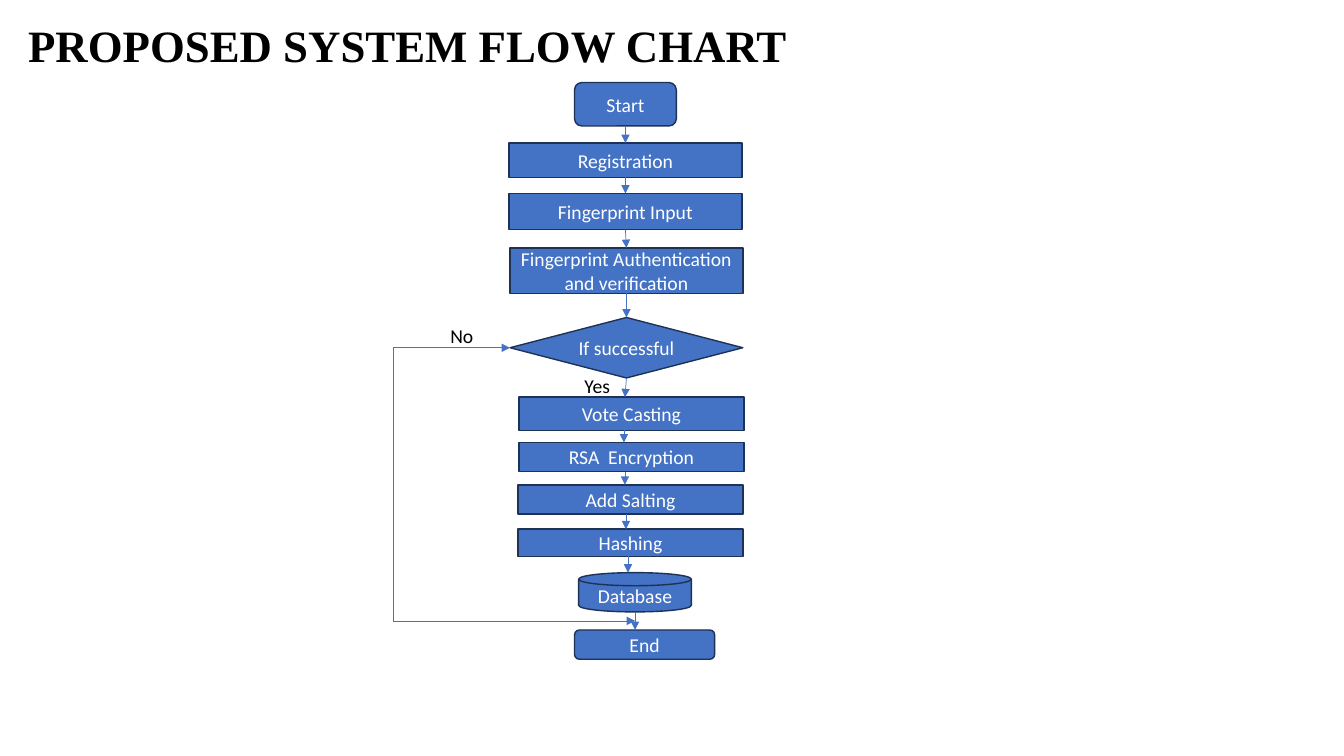
from dataclasses import dataclass

from lxml import etree
from pptx import Presentation
from pptx.dml.color import RGBColor
from pptx.enum.shapes import MSO_CONNECTOR, MSO_SHAPE
from pptx.enum.text import MSO_ANCHOR, MSO_AUTO_SIZE, PP_ALIGN
from pptx.oxml.ns import qn
from pptx.util import Pt

RECT = MSO_SHAPE.RECTANGLE
ROUND = MSO_SHAPE.ROUNDED_RECTANGLE
DECISION = MSO_SHAPE.FLOWCHART_DECISION
DISK = MSO_SHAPE.FLOWCHART_MAGNETIC_DISK
TERMINAL = MSO_SHAPE.FLOWCHART_ALTERNATE_PROCESS
STRAIGHT = MSO_CONNECTOR.STRAIGHT
MIDDLE, TOP = MSO_ANCHOR.MIDDLE, MSO_ANCHOR.TOP
CENTER, LEFT = PP_ALIGN.CENTER, PP_ALIGN.LEFT
FIT_SHAPE, NO_FIT = MSO_AUTO_SIZE.SHAPE_TO_FIT_TEXT, MSO_AUTO_SIZE.NONE
SIDE_TOP, SIDE_LEFT, SIDE_BOTTOM = 0, 1, 2


@dataclass(frozen=True)
class Theme:
    fill: RGBColor = RGBColor(0x44, 0x72, 0xC4)
    outline: RGBColor = RGBColor(0x1E, 0x32, 0x56)
    light: RGBColor = RGBColor(0xFF, 0xFF, 0xFF)
    dark: RGBColor = RGBColor(0, 0, 0)
    title_font: str = "Times New Roman"
    body_font: str = "Calibri"
    title_size: int = 32
    body_size: int = 14
    outline_width: float = 1
    arrow_width: float = 0.5
    space_after: int = 6


THEME = Theme()
TITLE_FORMAT = {"name": THEME.title_font, "size": Pt(THEME.title_size), "bold": True}
BODY_FORMAT = {"name": THEME.body_font, "size": Pt(THEME.body_size)}

# Steps from top to bottom: text, shape, left, top, width, height
STEPS = [
    ("Start", ROUND, 410.4, 59, 72.7, 31),
    ("Registration", RECT, 363.6, 102.2, 166.3, 24.5),
    ("Fingerprint Input", RECT, 363.6, 138.2, 166.3, 25.9),
    ("Fingerprint Authentication and verification", RECT, 364.3, 177.1, 166.3, 32.4),
    ("If successful", DECISION, 364.3, 226.8, 166.3, 43.2),
    ("Vote Casting", RECT, 370.8, 283.7, 160.6, 23.8),
    ("RSA  Encryption", RECT, 370.8, 316.1, 160.6, 20.9),
    ("Add Salting", RECT, 370.1, 346.3, 160.6, 20.9),
    ("Hashing", RECT, 370.1, 378, 160.6, 19.4),
    ("Database", DISK, 413.3, 409, 80.6, 28.1),
    ("End", TERMINAL, 410.4, 450, 100.1, 20.9),
]
# Arrows that run off the centre of the step they leave: step -> x
OFF_CENTER = {"Vote Casting": 445.7, "RSA  Encryption": 446.4, "Add Salting": 447.1,
              "Hashing": 448.6, "Database": 453.6}
YES_ARROW_X = 446.4
NO_LINE_X, NO_LINE_TOP, NO_LINE_BOTTOM = 280.8, 248.4, 443.5


def write(tf, text, fmt, color, align, anchor):
    tf.word_wrap = True
    tf.vertical_anchor = anchor
    p = tf.paragraphs[0]
    p.alignment = align
    p.space_after = Pt(THEME.space_after)
    r = p.add_run()
    r.text = text
    for name, value in fmt.items():
        setattr(r.font, name, value)
    r.font.color.rgb = color


def add_text(s, text, box, fmt, fit=NO_FIT):
    sp = s.shapes.add_textbox(*map(Pt, box))
    write(sp.text_frame, text, fmt, THEME.dark, LEFT, TOP)
    sp.text_frame.auto_size = fit


def add_step(s, text, kind, *box):
    sp = s.shapes.add_shape(kind, *map(Pt, box))
    sp.shadow.inherit = False
    sp.fill.solid()
    sp.fill.fore_color.rgb = THEME.fill
    sp.line.color.rgb = THEME.outline
    sp.line.width = Pt(THEME.outline_width)
    write(sp.text_frame, text, BODY_FORMAT, THEME.light, CENTER, MIDDLE)
    return sp


def add_line(s, x1, y1, x2, y2, arrow=True):
    line = s.shapes.add_connector(STRAIGHT, *map(Pt, (x1, y1, x2, y2)))
    line.line.color.rgb = THEME.fill
    line.line.width = Pt(THEME.arrow_width)
    if arrow:
        etree.SubElement(line.line._get_or_add_ln(), qn("a:tailEnd"), type="triangle")
    etree.SubElement(line._element.spPr, qn("a:effectLst"))
    return line


def link_steps(s, upper, lower):
    """Draw the arrow down from one step to the next."""
    (upper_step, upper_sp), (lower_step, lower_sp) = upper, lower
    text, kind, left, top, width, height = upper_step
    x = OFF_CENTER.get(text, left + width / 2)
    end_x = YES_ARROW_X if kind == DECISION else x
    line = add_line(s, x, top + height, end_x, lower_step[3])
    if text not in OFF_CENTER:
        line.begin_connect(upper_sp, SIDE_BOTTOM)
        if kind != DECISION:
            line.end_connect(lower_sp, SIDE_TOP)


def main():
    prs = Presentation()
    prs.slide_width, prs.slide_height = Pt(960), Pt(540)
    s = prs.slides.add_slide(prs.slide_layouts[6])

    # Title
    add_text(s, "PROPOSED SYSTEM FLOW CHART", (13, 9.4, 848.2, 523.4), TITLE_FORMAT)

    # Steps and the arrows between them
    steps = [(step, add_step(s, *step)) for step in STEPS]
    for upper, lower in zip(steps, steps[1:]):
        link_steps(s, upper, lower)

    # "No" branch around the lower steps
    decision, decision_sp = next(item for item in steps if item[0][1] == DECISION)
    add_line(s, NO_LINE_X, NO_LINE_TOP, NO_LINE_X, NO_LINE_BOTTOM, arrow=False)
    to_decision = add_line(s, NO_LINE_X, NO_LINE_TOP, decision[2], NO_LINE_TOP)
    to_decision.end_connect(decision_sp, SIDE_LEFT)
    add_line(s, NO_LINE_X, NO_LINE_BOTTOM, OFF_CENTER["Database"], NO_LINE_BOTTOM)

    # Branch labels
    add_text(s, "No", (314.6, 228.2, 35.3, 24.5), BODY_FORMAT, FIT_SHAPE)
    add_text(s, "Yes", (410.4, 263.5, 56.9, 24.5), BODY_FORMAT, FIT_SHAPE)

    prs.save("out.pptx")


if __name__ == "__main__":
    main()
